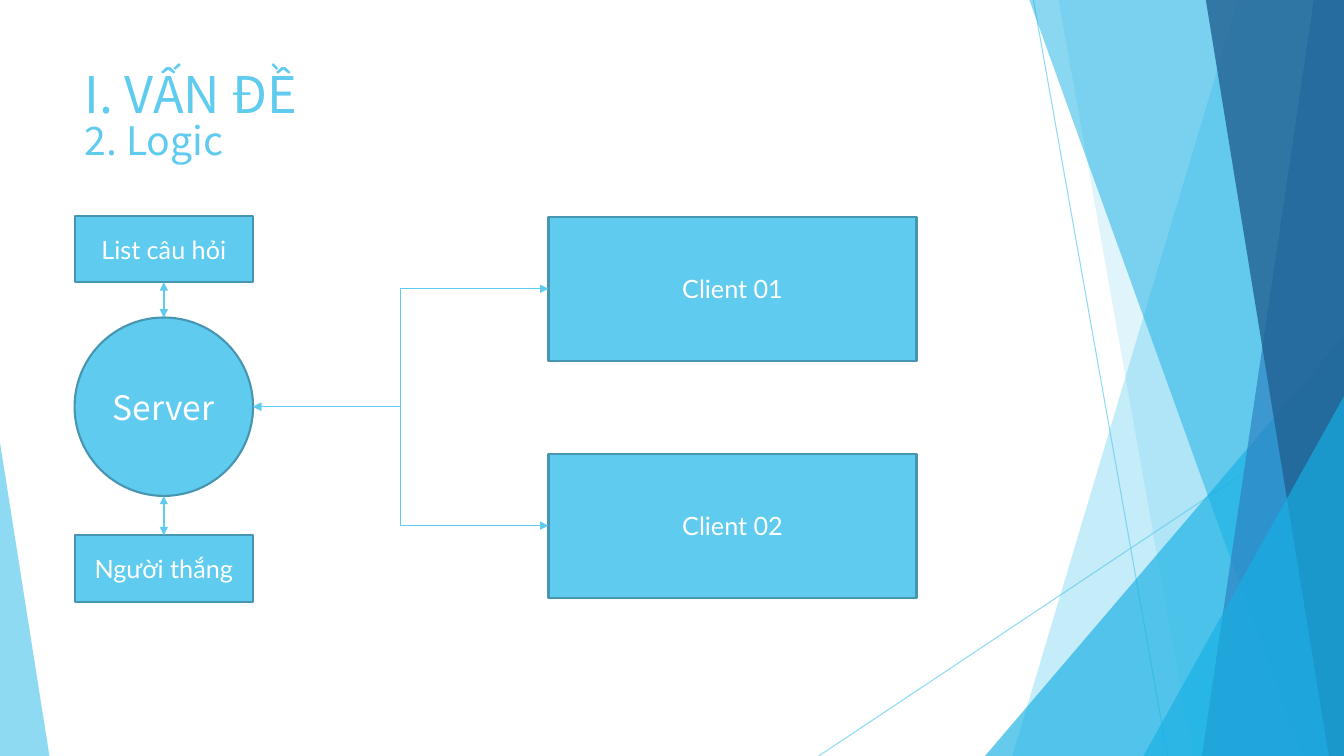
import pptx
import pptx.util
import pptx.dml.color
import pptx.enum.shapes
import pptx.enum.text
import pptx.oxml
import pptx.oxml.ns
from pptx.util import Inches

SHAPES = pptx.enum.shapes.MSO_SHAPE
CONNECTORS = pptx.enum.shapes.MSO_CONNECTOR
ANCHORS = pptx.enum.text.MSO_ANCHOR
ALIGNMENTS = pptx.enum.text.PP_ALIGN

WIDTH, HEIGHT = 13.33, 7.5
SKY, BRIGHT, EDGE, WHITE = "5FCBEF", "17B0E4", "4696B1", "FFFFFF"
TITLE_FONT, BODY_FONT = "Noto Sans CJK JP", "Lato"


def color(value):
    """Turn a hex string into a colour."""
    return pptx.dml.color.RGBColor.from_string(value)


def set_values(target, values):
    """Set attributes from a dict of format values."""
    for name, value in values.items():
        setattr(target, name, value)


def add_element(parent, tag, **attributes):
    """Append a DrawingML element with attributes."""
    element = pptx.oxml.parse_xml(f"<a:{tag} {pptx.oxml.ns.nsdecls('a')}/>")
    for name, value in attributes.items():
        element.set(name, value)
    parent.append(element)


def set_alpha(fill_format, opacity):
    """Give a solid fill an opacity in percent."""
    properties = fill_format._xPr
    solid = properties.find(pptx.oxml.ns.qn("a:solidFill"))
    add_element(solid[0], "alpha", val=str(opacity * 1000))


def format_span(span, size, font, value):
    """Set size, font and colour of a run."""
    set_values(span.font, {"size": pptx.util.Pt(size), "name": font})
    span.font.color.rgb = color(value)


def paint_facet(shape, value, opacity):
    """Fill a decorative shape without outline or shadow."""
    shape.shadow.inherit = False
    shape.fill.solid()
    shape.fill.fore_color.rgb = color(value)
    set_alpha(shape.fill, opacity)
    shape.line.fill.background()


def add_line(page, kind, start, end, width, opacity=100, arrows=False):
    """Add a connector, with arrowheads at both ends if asked."""
    line = page.shapes.add_connector(kind, *map(Inches, start + end))
    line.line.width = pptx.util.Pt(width)
    line.line.color.rgb = color(SKY)
    set_alpha(line.line.fill, opacity)
    if arrows:
        outline = line.line._get_or_add_ln()
        for tag in ("headEnd", "tailEnd"):
            add_element(outline, tag, type="triangle")
    add_element(line._element.spPr, "effectLst")
    return line


def add_band(page, box, top_x, bottom_x, value, opacity):
    """Add a band from a slanted left edge to the right side of the box."""
    left, top, width, height = box
    right, bottom = left + width, top + height
    corners = [(right, top), (right, bottom), (left + bottom_x, bottom)]
    builder = page.shapes.build_freeform(Inches(left + top_x), Inches(top))
    builder.add_line_segments([tuple(map(Inches, corner)) for corner in corners])
    paint_facet(builder.convert_to_shape(), value, opacity)


def add_wedge(page, box, width, height, apex, value, opacity):
    """Add a right triangle at the left (apex 0) or right (apex 1) bottom corner."""
    left = box[0] + apex * (box[2] - width)
    top = box[1] + box[3] - height
    wedge = page.shapes.add_shape(
        SHAPES.ISOSCELES_TRIANGLE, *map(Inches, (left, top, width, height)))
    wedge.adjustments[0] = apex
    paint_facet(wedge, value, opacity)


def draw_facets(page, box):
    """Draw the translucent facets along both sides of the box."""
    left, top, width, height = box
    right, bottom = left + width, top + height
    for start, end in (((left + 10.25, top), (left + 11.58, bottom)),
                       ((right, top + 4.03), (left + 8.12, bottom))):
        add_line(page, CONNECTORS.STRAIGHT, start, end, 0.75, 70)
    add_band(page, box, 12.28, 10.04, SKY, 36)
    add_band(page, box, 10.5, 11.83, SKY, 20)
    add_wedge(page, box, 3.56, 4.17, 1, BRIGHT, 66)
    add_band(page, box, 10.21, 12.91, BRIGHT, 50)
    add_band(page, box, 13.03, 11.92, "2E83C3", 70)
    add_band(page, box, 11.96, 13.18, "226292", 80)
    add_wedge(page, box, 1.99, 3.57, 1, BRIGHT, 66)
    add_wedge(page, box, 0.49, 3.11, 0, SKY, 70)


def fill_title(page, box):
    """Place the title and its smaller second line in the box."""
    title = page.shapes.title
    names = ("left", "top", "width", "height")
    set_values(title, dict(zip(names, map(Inches, box))))
    set_values(title.text_frame, {"vertical_anchor": ANCHORS.TOP, "word_wrap": True})
    para = title.text_frame.paragraphs[0]
    set_values(para, {"alignment": ALIGNMENTS.LEFT, "line_spacing": 0.85})
    for text, size in (("I. VẤN ĐỀ", 36), ("2. Logic", 28)):
        if para.runs:
            para.add_line_break()
        span = para.add_run()
        span.text = text
        format_span(span, size, TITLE_FONT, SKY)


def add_node(page, kind, box, text, size=18, font=BODY_FONT):
    """Add an outlined node with a centred label."""
    node = page.shapes.add_shape(kind, *map(Inches, box))
    node.shadow.inherit = False
    node.fill.solid()
    node.fill.fore_color.rgb = color(SKY)
    node.line.color.rgb = color(EDGE)
    node.line.width = pptx.util.Pt(1.5)
    set_values(node.text_frame, {"vertical_anchor": ANCHORS.MIDDLE, "word_wrap": True})
    para = node.text_frame.paragraphs[0]
    para.alignment = ALIGNMENTS.CENTER
    span = para.add_run()
    span.text = text
    format_span(span, size, font, WHITE)
    return node


def draw_logic(page, box):
    """Draw the server, its two stores and its two clients in the box."""
    left, top, width, height = box
    side, store_height, client_width, client_height = 1.77, 0.66, 3.65, 1.43
    server_top = top + 1.01
    server_x, server_y = left + side / 2, server_top + side / 2
    add_node(page, SHAPES.OVAL, (left, server_top, side, side), "Server", 24, TITLE_FONT)

    stores = (("List câu hỏi", top, server_top, store_height, 2),
              ("Người thắng", top + height - store_height, server_top + side, 0, 0))
    for text, store_top, server_end, offset, site in stores:
        store = add_node(
            page, SHAPES.RECTANGLE, (left, store_top, side, store_height), text)
        link = add_line(page, CONNECTORS.STRAIGHT, (server_x, server_end),
                        (server_x, store_top + offset), 1, arrows=True)
        link.end_connect(store, site)

    client_left = left + width - client_width
    for number in range(2):
        client_top = top + 0.01 + number * 2.35
        client = add_node(
            page, SHAPES.RECTANGLE,
            (client_left, client_top, client_width, client_height),
            f"Client {number + 1:02}")
        link = add_line(page, CONNECTORS.ELBOW,
                        (client_left, client_top + client_height / 2),
                        (left + side, server_y), 1, arrows=True)
        link.begin_connect(client, 1)


def main():
    """Build and save the deck."""
    deck = pptx.Presentation()
    set_values(deck, {"slide_width": Inches(WIDTH), "slide_height": Inches(HEIGHT)})
    page = deck.slides.add_slide(deck.slide_layouts.get_by_name("Title Only"))
    draw_facets(page, (0, 0, WIDTH, HEIGHT))
    fill_title(page, (0.74, 0.67, 9.4, 1.44))
    draw_logic(page, (0.74, 2.14, 8.35, 3.83))
    deck.save("out.pptx")


if __name__ == "__main__":
    main()
